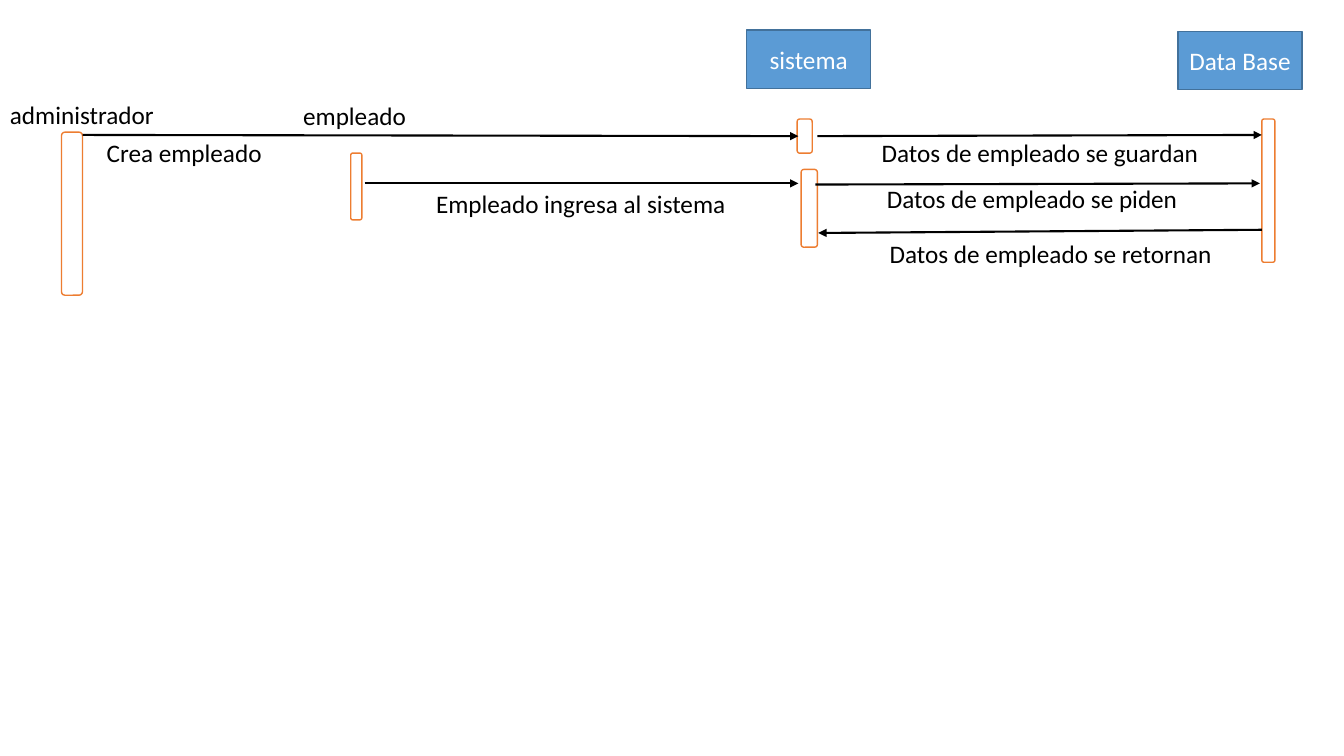
from lxml import etree
from pptx import Presentation
from pptx.dml.color import RGBColor
from pptx.enum.shapes import MSO_CONNECTOR, MSO_SHAPE
from pptx.enum.text import MSO_ANCHOR, PP_ALIGN
from pptx.oxml.ns import qn
from pptx.util import Cm, Pt

RECT, ROUNDED = MSO_SHAPE.RECTANGLE, MSO_SHAPE.ROUNDED_RECTANGLE
STRAIGHT = MSO_CONNECTOR.STRAIGHT
MIDDLE, TOP = MSO_ANCHOR.MIDDLE, MSO_ANCHOR.TOP
CENTER, LEFT = PP_ALIGN.CENTER, PP_ALIGN.LEFT

THEME = {
    "ink": RGBColor(0x00, 0x00, 0x00),
    "white": RGBColor(0xFF, 0xFF, 0xFF),
    "box": RGBColor(0x5B, 0x9B, 0xD5),
    "box_line": RGBColor(0x42, 0x71, 0x9B),
    "bar_line": RGBColor(0xED, 0x7D, 0x31),
    "font": "Calibri",
    "size": Pt(18),
    "outline": Pt(1),
    "arrow": Pt(1.5),
}


def write(sp, text, color, align, anchor, wrap):
    """Put one styled line of text into a shape."""
    tf = sp.text_frame
    for name, value in {"word_wrap": wrap, "vertical_anchor": anchor}.items():
        setattr(tf, name, value)
    p = tf.paragraphs[0]
    p.alignment = align
    r = p.add_run()
    r.text = text
    for name, value in {"name": THEME["font"], "size": THEME["size"]}.items():
        setattr(r.font, name, value)
    r.font.color.rgb = color


def add_outlined(s, kind, place, line):
    """Add a preset shape with a thin outline and no shadow."""
    sp = s.shapes.add_shape(kind, *map(Cm, place))
    sp.shadow.inherit = False
    sp.line.color.rgb = line
    sp.line.width = THEME["outline"]
    return sp


prs = Presentation()
prs.slide_width, prs.slide_height = Cm(33.87), Cm(19.05)
s = prs.slides.add_slide(prs.slide_layouts[6])

# Participant boxes: text, left, top
for text, left, top in [("sistema", 18.82, 0.76), ("Data Base", 29.69, 0.79)]:
    sp = add_outlined(s, RECT, (left, top, 3.12, 1.47), THEME["box_line"])
    sp.fill.solid()
    sp.fill.fore_color.rgb = THEME["box"]
    write(sp, text, THEME["white"], CENTER, MIDDLE, True)

# Activation bars: left, top, width, height
activations = [
    (1.55, 3.33, 0.53, 4.11),
    (8.84, 3.86, 0.28, 1.68),
    (20.09, 3, 0.38, 0.86),
    (20.19, 4.27, 0.41, 1.96),
    (31.8, 3, 0.33, 3.61),
]
for place in activations:
    add_outlined(s, ROUNDED, place, THEME["bar_line"]).fill.background()

# Messages: start x, start y, end x, end y
messages = [
    (2.08, 3.4, 20.12, 3.43),
    (20.6, 3.43, 31.8, 3.4),
    (9.19, 4.62, 20.12, 4.62),
    (20.55, 4.65, 31.75, 4.62),
    (31.8, 5.79, 20.62, 5.87),
]
for ends in messages:
    arrow = s.shapes.add_connector(STRAIGHT, *map(Cm, ends))
    arrow.line.color.rgb = THEME["ink"]
    arrow.line.width = THEME["arrow"]
    etree.SubElement(arrow.line._get_or_add_ln(), qn("a:tailEnd"), type="triangle")
    etree.SubElement(arrow._element.spPr, qn("a:effectLst"))

# Actor names and message labels: text, left, top, width
labels = [
    ("administrador", 0, 2.39, 4.17),
    ("empleado", 7.39, 2.41, 3.12),
    ("Crea empleado", 2.44, 3.33, 4.47),
    ("Empleado ingresa al sistema", 10.74, 4.62, 7.87),
    ("Datos de empleado se guardan", 21.97, 3.33, 8.59),
    ("Datos de empleado se piden", 22.1, 4.5, 7.92),
    ("Datos de empleado se retornan", 22.17, 5.87, 8.74),
]
for text, left, top, width in labels:
    sp = s.shapes.add_textbox(Cm(left), Cm(top), Cm(width), Cm(1.03))
    write(sp, text, THEME["ink"], LEFT, TOP, False)

prs.save("out.pptx")
